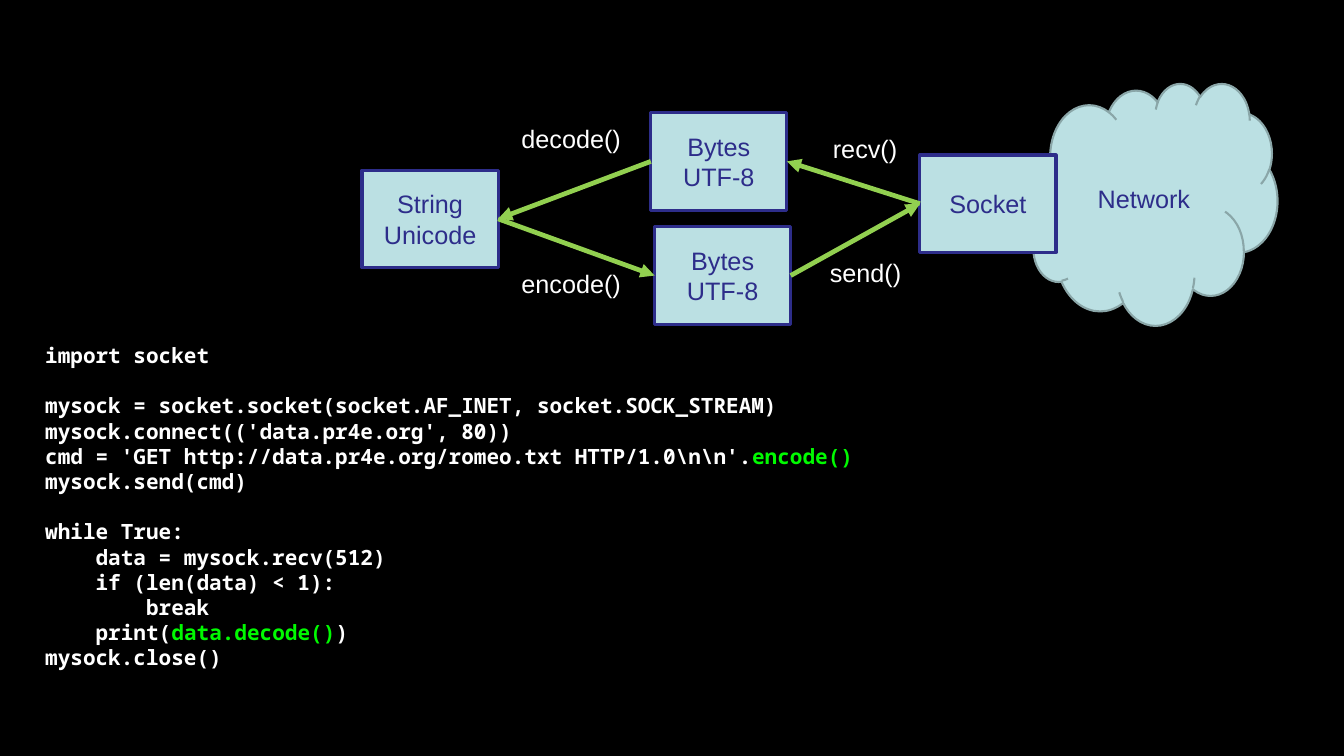
from pptx import Presentation
from pptx.dml.color import RGBColor
from pptx.enum.shapes import MSO_CONNECTOR, MSO_SHAPE
from pptx.enum.text import MSO_ANCHOR, MSO_AUTO_SIZE, PP_ALIGN
from pptx.oxml.ns import qn
from pptx.util import Inches, Pt
from lxml.etree import SubElement

LEFT, RIGHT = 1, 3  # connection sites of a rectangle


def color(hex_value):
    return RGBColor.from_string(hex_value)


class Diagram:
    PALE, NAVY, GRAY = "BBE0E3", "2D2D8A", "8AA6A8"
    GREEN, WHITE, BRIGHT = "92D050", "FFFFFF", "00FA00"
    SANS, MONO = "Arial", "Noto Sans Mono"
    BOX_W, BOX_H = 1.8, 1.29

    def __init__(self, slide):
        self.slide = slide
        slide.background.fill.solid()
        slide.background.fill.fore_color.rgb = color("000000")

    def run(self, paragraph, text, ink, font=SANS, size=24, bold=False):
        run = paragraph.add_run()
        run.text = text
        run.font.name, run.font.size, run.font.bold = font, Pt(size), bold
        run.font.color.rgb = color(ink)

    def node(self, preset, left, top, width, height, lines, edge, weight):
        node = self.slide.shapes.add_shape(
            preset, Inches(left), Inches(top), Inches(width), Inches(height))
        node.shadow.inherit = False
        node.fill.solid()
        node.fill.fore_color.rgb = color(self.PALE)
        node.line.color.rgb = color(edge)
        node.line.width = Pt(weight)
        frame = node.text_frame
        frame.vertical_anchor = MSO_ANCHOR.MIDDLE
        for index, line in enumerate(lines):
            paragraph = frame.add_paragraph() if index else frame.paragraphs[0]
            paragraph.alignment = PP_ALIGN.CENTER
            self.run(paragraph, line, self.NAVY)
        return node

    def box(self, left, top, *lines):
        return self.node(MSO_SHAPE.RECTANGLE, left, top, self.BOX_W, self.BOX_H,
                         lines, self.NAVY, 3)

    def arrow(self, start, start_site, end, end_site):
        arrow = self.slide.shapes.add_connector(MSO_CONNECTOR.STRAIGHT, 0, 0, 0, 0)
        arrow.begin_connect(start, start_site)
        arrow.end_connect(end, end_site)
        arrow.line.color.rgb = color(self.GREEN)
        arrow.line.width = Pt(4.5)
        SubElement(arrow.line._get_or_add_ln(), qn("a:tailEnd"), type="triangle")
        SubElement(arrow._element.spPr, qn("a:effectLst"))

    def text_frame(self, left, top, width, height):
        frame = self.slide.shapes.add_textbox(
            Inches(left), Inches(top), Inches(width), Inches(height)).text_frame
        frame.word_wrap = False
        frame.auto_size = MSO_AUTO_SIZE.SHAPE_TO_FIT_TEXT
        return frame

    def label(self, left, top, width, text):
        frame = self.text_frame(left, top, width, 0.5)
        self.run(frame.paragraphs[0], text, self.WHITE)

    def code(self, left, top, width, height, blocks):
        """Blocks of lines; in a line, every second part is highlighted."""
        frame = self.text_frame(left, top, width, height)
        paragraph = frame.paragraphs[0]
        for block_index, block in enumerate(blocks):
            for line_index, parts in enumerate(block):
                if block_index or line_index:
                    paragraph = frame.add_paragraph()
                paragraph.line_spacing = Pt(24)
                if block_index and not line_index:
                    paragraph.space_before = Pt(24)
                for part_index, part in enumerate(parts):
                    ink = self.BRIGHT if part_index % 2 else self.WHITE
                    self.run(paragraph, part, ink, self.MONO, 20, True)


def main():
    deck = Presentation()
    deck.slide_width, deck.slide_height = Inches(17.78), Inches(10)
    diagram = Diagram(deck.slides.add_slide(deck.slide_layouts[6]))

    # Network and the stages of the data
    diagram.node(MSO_SHAPE.CLOUD, 13.6, 1.1, 3.3, 3.2, ["Network"], diagram.GRAY, 2)
    socket = diagram.box(12.17, 2.05, "Socket")
    received = diagram.box(8.61, 1.49, "Bytes", "UTF-8")
    string = diagram.box(4.79, 2.25, "String", "Unicode")
    sent = diagram.box(8.66, 3, "Bytes", "UTF-8")

    # Outgoing and incoming flow
    diagram.arrow(string, RIGHT, sent, LEFT)
    diagram.arrow(socket, LEFT, received, RIGHT)
    diagram.arrow(sent, RIGHT, socket, LEFT)
    diagram.arrow(received, LEFT, string, RIGHT)

    # Calls beside the arrows
    for call in [(10.92, 1.72, 1.06, "recv()"), (6.8, 1.58, 1.53, "decode()"),
                 (6.8, 3.5, 1.53, "encode()"), (10.88, 3.36, 1.16, "send()")]:
        diagram.label(*call)

    # Client program
    diagram.code(0.5, 4.48, 10.97, 4.48, [
        [["import socket"]],
        [["mysock = socket.socket(socket.AF_INET, socket.SOCK_STREAM)"],
         ["mysock.connect(('data.pr4e.org', 80))"],
         ["cmd = 'GET http://data.pr4e.org/romeo.txt HTTP/1.0\\n\\n'.", "encode()"],
         ["mysock.send(cmd)"]],
        [["while True:"],
         ["    data = mysock.recv(512)"],
         ["    if (len(data) < 1):"],
         ["        break"],
         ["    print(", "data.decode()", ")"],
         ["mysock.close()"]],
    ])

    deck.save("out.pptx")


if __name__ == "__main__":
    main()
